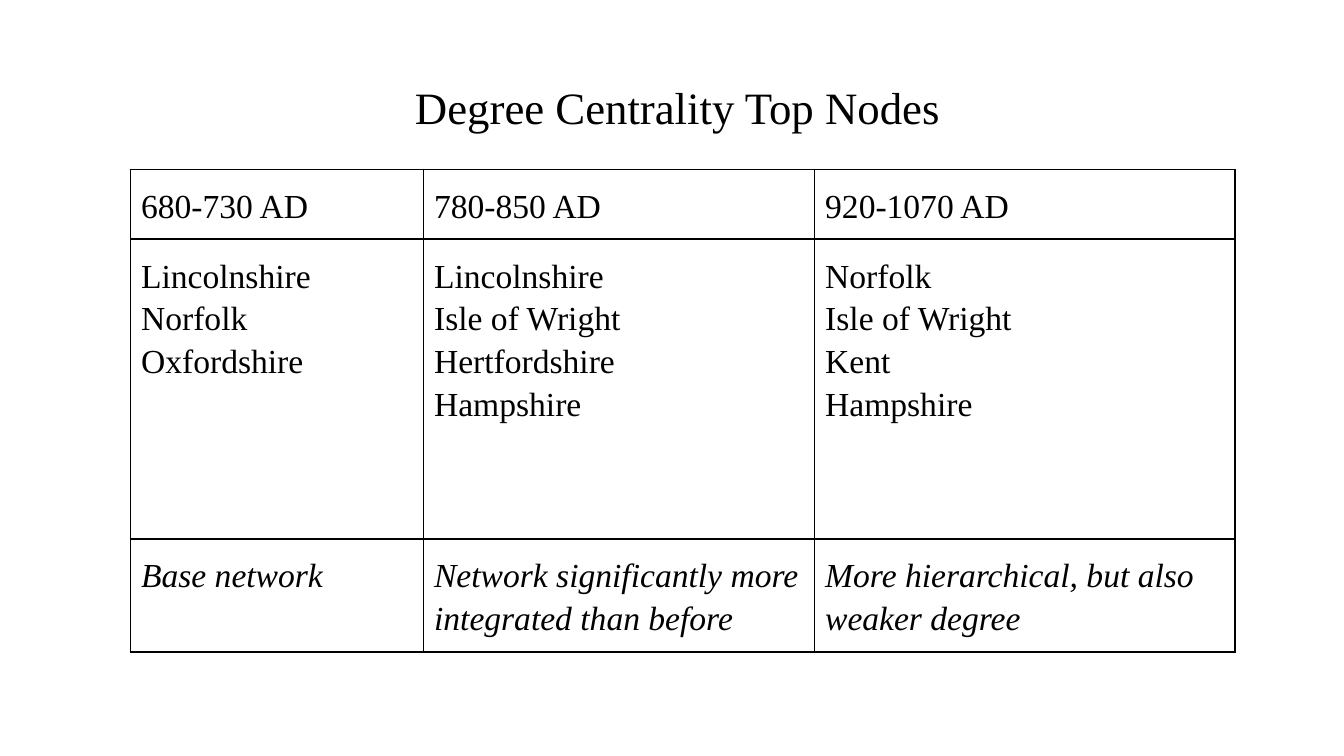
from lxml import etree
from pptx import Presentation
from pptx import util as u
from pptx.dml.color import RGBColor
from pptx.enum import text
from pptx.oxml import ns

SLIDE_WIDTH = 10
SLIDE_HEIGHT = SLIDE_WIDTH * 9 / 16
PERIODS = [
    ("680-730 AD", ["Lincolnshire", "Norfolk", "Oxfordshire"], "Base network"),
    ("780-850 AD", ["Lincolnshire", "Isle of Wright", "Hertfordshire", "Hampshire"],
     "Network significantly more integrated than before"),
    ("920-1070 AD", ["Norfolk", "Isle of Wright", "Kent", "Hampshire"],
     "More hierarchical, but also weaker degree"),
]
COLUMN_WIDTHS = [2.18, 2.91, 3.13]
ROW_HEIGHTS = [0.52, 2.23, 0.84]


def color(value):
    return RGBColor.from_string(value)


def write(frame, lines, size=18, font="Times New Roman", ink="000000",
          italic=False, align=text.PP_ALIGN.LEFT, spacing=1.15):
    """Fill a text frame with one formatted paragraph per line."""
    for index, line in enumerate(lines):
        paragraph = frame.paragraphs[0] if index == 0 else frame.add_paragraph()
        paragraph.alignment = align
        paragraph.line_spacing = spacing
        run = paragraph.add_run()
        run.text = line
        run.font.size = u.Pt(size)
        run.font.name = font
        run.font.italic = italic
        run.font.color.rgb = color(ink)


def add_borders(cell, ink, width):
    properties = cell._tc.get_or_add_tcPr()
    for position, side in enumerate(("a:lnL", "a:lnR", "a:lnT", "a:lnB")):
        line = etree.Element(ns.qn(side), w=str(u.Pt(width)))
        fill = etree.SubElement(line, ns.qn("a:solidFill"))
        etree.SubElement(fill, ns.qn("a:srgbClr"), val=ink)
        properties.insert(position, line)


class Deck:
    ink = "000000"
    paper = "FFFFFF"
    border_width = 1

    def __init__(self, width, height):
        self.presentation = Presentation()
        self.presentation.slide_width = u.Inches(width)
        self.presentation.slide_height = u.Inches(height)
        self.slide = self.presentation.slides.add_slide(
            self.presentation.slide_layouts[5])
        background = self.slide.background.fill
        background.solid()
        background.fore_color.rgb = color(self.paper)

    def title(self, heading, left, top, width, height):
        title = self.slide.shapes.title
        title.left, title.top = u.Inches(left), u.Inches(top)
        title.width, title.height = u.Inches(width), u.Inches(height)
        frame = title.text_frame
        frame.auto_size = text.MSO_AUTO_SIZE.NONE
        frame.vertical_anchor = text.MSO_ANCHOR.TOP
        frame.margin_left, frame.margin_right = u.Inches(0.18), u.Inches(0.1)
        frame.margin_top = frame.margin_bottom = u.Inches(0.1)
        write(frame, [heading], size=24, ink=self.ink,
              align=text.PP_ALIGN.CENTER, spacing=1.0)

    def table(self, periods, left, top):
        table = self.slide.shapes.add_table(
            len(ROW_HEIGHTS), len(COLUMN_WIDTHS), u.Inches(left), u.Inches(top),
            u.Inches(sum(COLUMN_WIDTHS)), u.Inches(sum(ROW_HEIGHTS))).table
        table.first_row = table.horz_banding = False
        for column, width in zip(table.columns, COLUMN_WIDTHS):
            column.width = u.Inches(width)
        for row, height in zip(table.rows, ROW_HEIGHTS):
            row.height = u.Inches(height)
        for column, (years, counties, finding) in enumerate(periods):
            self.cell(table.cell(0, column), [years])
            self.cell(table.cell(1, column), counties)
            self.cell(table.cell(2, column), [finding], italic=True)

    def cell(self, cell, lines, italic=False):
        cell.margin_left = cell.margin_right = u.Inches(0.08)
        cell.margin_top = cell.margin_bottom = u.Inches(0.1)
        cell.fill.background()
        add_borders(cell, self.ink, self.border_width)
        write(cell.text_frame, lines, ink=self.ink, italic=italic)


def main():
    deck = Deck(SLIDE_WIDTH, SLIDE_HEIGHT)
    deck.title("Degree Centrality Top Nodes", 0.34, 0.49, 9.32, 0.63)
    deck.table(PERIODS, 0.97, 1.26)
    deck.presentation.save("out.pptx")


if __name__ == "__main__":
    main()
